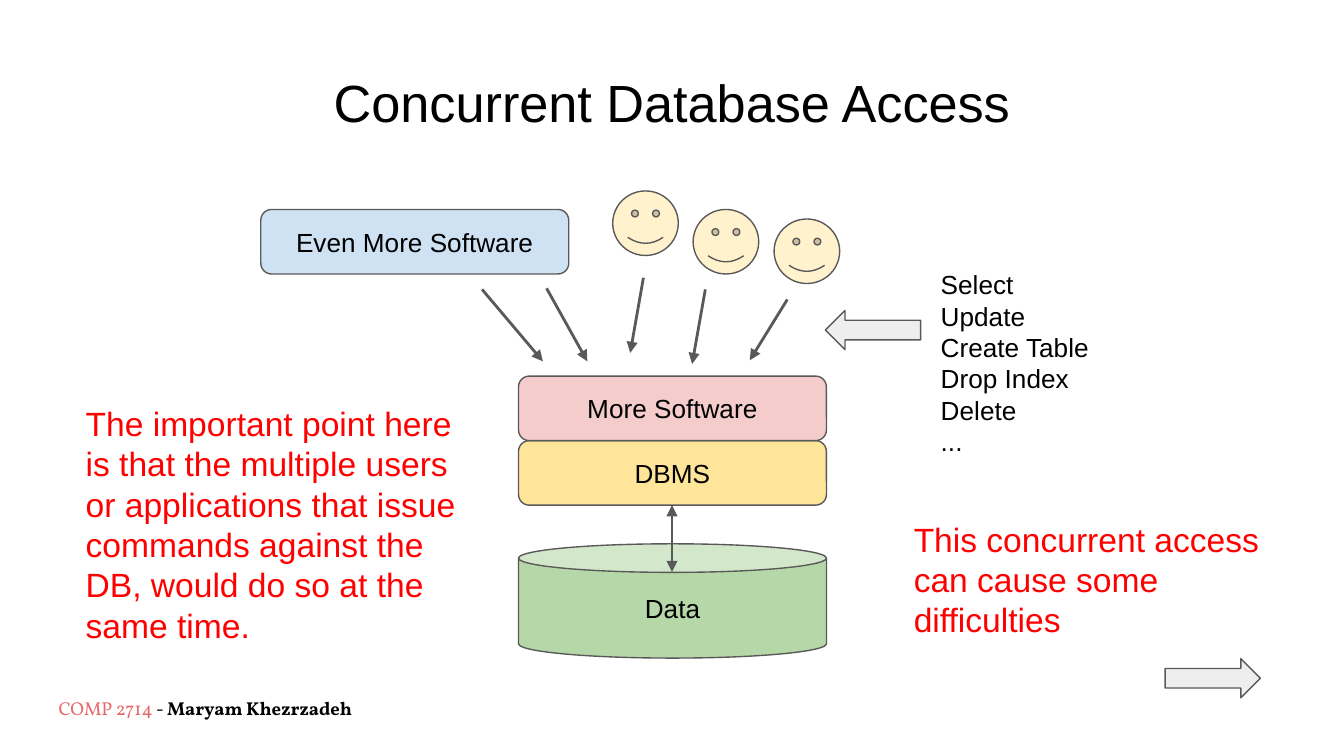
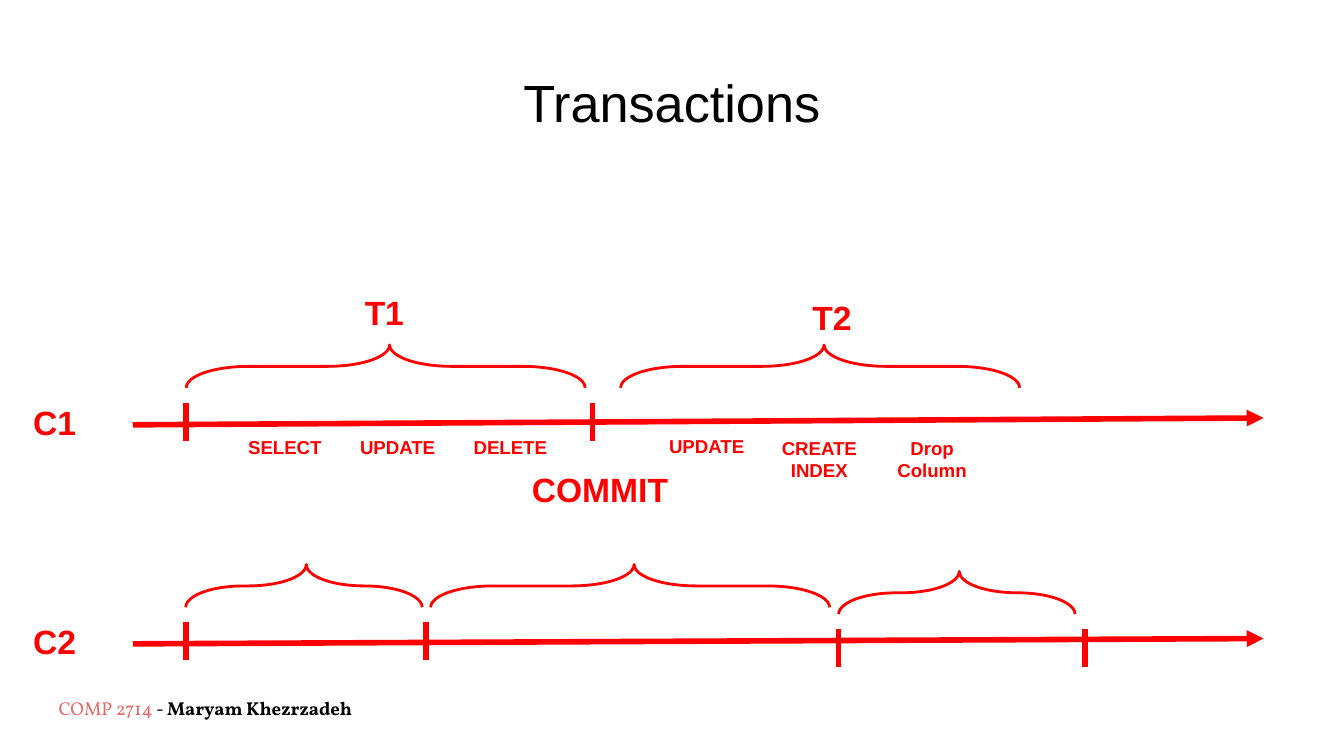
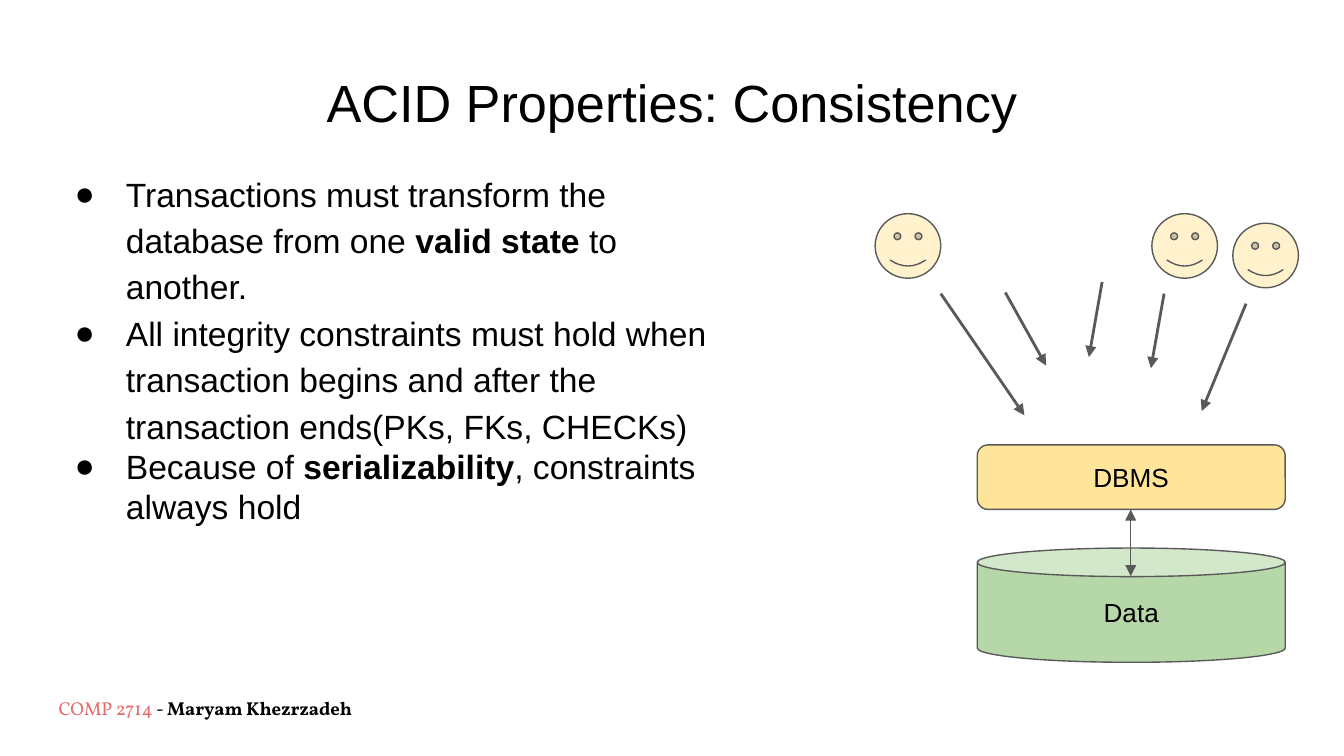
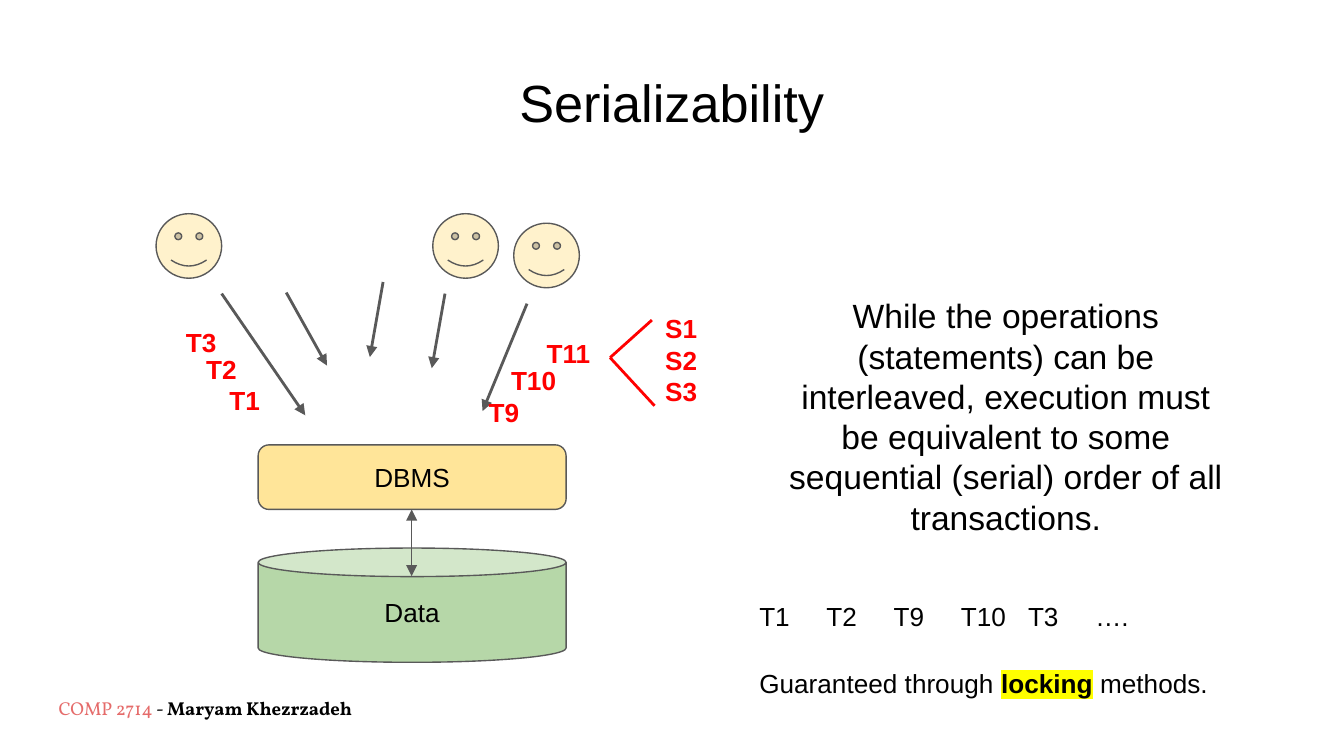
import dataclasses

import lxml.etree
import pptx
import pptx.dml.color
import pptx.enum.shapes
import pptx.enum.text
import pptx.oxml.ns
import pptx.util

Cm = pptx.util.Cm
Pt = pptx.util.Pt
qn = pptx.oxml.ns.qn
rgb = pptx.dml.color.RGBColor.from_string
SHAPE = pptx.enum.shapes.MSO_SHAPE
ANCHOR = pptx.enum.text.MSO_ANCHOR
LEFT = pptx.enum.text.PP_ALIGN.LEFT
CENTER = pptx.enum.text.PP_ALIGN.CENTER


@dataclasses.dataclass(frozen=True)
class Theme:
    font: str = "Arial"
    footer_font: str = "Vollkorn"
    ink: str = "000000"
    red: str = "FF0000"
    course: str = "E56B6A"
    outline: str = "595959"
    data: str = "B6D7A8"
    dbms: str = "FFE599"
    software: str = "F4CCCC"
    more_software: str = "CFE2F3"
    user: str = "FFF2CC"
    pointer: str = "EEEEEE"
    highlight: str = "FFFF00"
    title: int = 28
    body: int = 18
    label: int = 14
    small: int = 10
    thin: float = 0.75
    medium: float = 1.5
    thick: float = 3


theme = Theme()


def place(slide, box, lines=(), geometry=None, fill=None, align=LEFT, **style):
    lengths = [Cm(value) for value in box]
    if geometry is None:
        shape = slide.shapes.add_textbox(*lengths)
    else:
        shape = slide.shapes.add_shape(geometry, *lengths)
        shape.shadow.inherit = False
        shape.line.color.rgb = rgb(theme.outline)
        shape.line.width = Pt(theme.thin)
        if fill:
            shape.fill.solid()
            shape.fill.fore_color.rgb = rgb(fill)
        else:
            shape.fill.background()
    frame = shape.text_frame
    frame_format = {
        "word_wrap": True,
        "vertical_anchor": ANCHOR.MIDDLE if geometry else ANCHOR.TOP,
        **{f"margin_{side}": Cm(0.25) for side in ("left", "top", "right", "bottom")},
    }
    for name, value in frame_format.items():
        setattr(frame, name, value)
    base = {"name": theme.font, "size": Pt(theme.label), "rgb": rgb(theme.ink)}
    for index, line in enumerate(lines):
        paragraph = frame.add_paragraph() if index else frame.paragraphs[0]
        paragraph.alignment = align
        for words, extra in [(line, {})] if isinstance(line, str) else line:
            run = paragraph.add_run()
            run.text = words
            for name, value in {**base, **style, **extra}.items():
                setattr(run.font.color if name == "rgb" else run.font, name, value)
    return shape


def connect(slide, start, end, color=theme.outline, width=theme.medium, ends=()):
    line = slide.shapes.add_connector(
        pptx.enum.shapes.MSO_CONNECTOR.STRAIGHT, *[Cm(value) for value in (*start, *end)]
    )
    line.line.color.rgb = rgb(color)
    line.line.width = Pt(width)
    for end_name in ends:
        lxml.etree.SubElement(line.line._get_or_add_ln(), qn(f"a:{end_name}"), type="triangle")
    lxml.etree.SubElement(line._element.spPr, qn("a:effectLst"))


deck = pptx.Presentation()
deck.slide_width = Cm(25.4)
deck.slide_height = Cm(14.29)

bold = {"bold": True}
red_body = {"size": Pt(theme.body), "rgb": rgb(theme.red)}
red_label = {"rgb": rgb(theme.red), "bold": True, "align": CENTER}
red_heading = {**red_label, "size": Pt(theme.body)}
red_small = {**red_label, "size": Pt(theme.small)}

footer = [
    ("COMP 2714", {"rgb": rgb(theme.course)}),
    (" - ", {}),
    ("Maryam Khezrzadeh", bold),
]
titles = [
    "Concurrent Database Access",
    "Transactions",
    "ACID Properties: Consistency",
    "Serializability",
]
for title in titles:
    slide = deck.slides.add_slide(deck.slide_layouts[6])
    place(slide, (0.86, 12.95, 9.6, 0.86), [footer],
          name=theme.footer_font, size=Pt(theme.small))
    place(slide, (0.86, 1.07, 23.67, 1.6), [title], align=CENTER, size=Pt(theme.title))
access, transactions, consistency, serializability = deck.slides

block_size = (5.82, 1.22)
scenes = [
    (access, 9.8, 8.33, (1.78, -4.72), (0.46, -1.5), (4.37, -1.52)),
    (consistency, 18.47, 8.41, (-1.93, -4.37), (0.89, -0.56), (4.24, -0.64)),
    (serializability, 4.88, 8.41, (-1.93, -4.37), (0.89, -0.56), (4.24, -0.64)),
]
for slide, left, top, first_user, first_target, last_target in scenes:
    place(slide, (left, top + 1.95, 5.82, 2.16), ["Data"], SHAPE.CAN, theme.data, CENTER)
    place(slide, (left, top, *block_size), ["DBMS"],
          SHAPE.ROUNDED_RECTANGLE, theme.dbms, CENTER)
    connect(slide, (left + 2.9, top + 1.22), (left + 2.9, top + 2.48),
            width=theme.thin, ends=("headEnd", "tailEnd"))
    for across, down in (first_user, (3.3, -4.37), (4.83, -4.19)):
        place(slide, (left + across, top + down, 1.24, 1.22),
              geometry=SHAPE.SMILEY_FACE, fill=theme.user)
    requests = [
        ((-0.69, -2.86), first_target),
        ((5.08, -2.67), last_target),
        ((3.53, -2.86), (3.28, -1.45)),
        ((2.36, -3.08), (2.11, -1.66)),
        ((0.53, -2.88), (1.3, -1.5)),
    ]
    for source, target in requests:
        connect(slide, (left + source[0], top + source[1]),
                (left + target[0], top + target[1]), ends=("tailEnd",))

for software, corner, fill in [
    ("More Software", (9.8, 7.11), theme.software),
    ("Even More Software", (4.93, 3.96), theme.more_software),
]:
    place(access, (*corner, *block_size), [software], SHAPE.ROUNDED_RECTANGLE, fill, CENTER)
commands = ["Select", "Update", "Create Table", "Drop Index", "Delete", "..."]
place(access, (17.53, 4.83, 4.5, 3.86), commands)
for corner, rotation in [((15.6, 5.87), 0), ((22.02, 12.45), 180)]:
    pointer = place(access, (*corner, 1.8, 0.74),
                    geometry=SHAPE.LEFT_ARROW, fill=theme.pointer)
    pointer.rotation = rotation
place(access, (1.37, 7.37, 7.55, 5.28), [
    "The important point here is that the multiple users or applications "
    "that issue commands against the DB, would do so at the same time."
], **red_body)
place(access, (17.02, 9.55, 7.52, 2.82),
      ["This concurrent access can cause some difficulties"], **red_body)

for client, label_top, start, end in [
    ("C1", 7.34, 8.03, 7.9),
    ("C2", 11.48, 12.17, 12.07),
]:
    connect(transactions, (2.51, start), (23.88, end), theme.red, theme.thick, ("tailEnd",))
    place(transactions, (0.25, label_top, 1.57, 1.27), [client], **red_heading)
for tick_left, tick_top in [
    (3.51, 7.62), (11.2, 7.62),
    (3.51, 11.76), (8.05, 11.76), (15.85, 11.89), (20.5, 11.89),
]:
    connect(transactions, (tick_left, tick_top), (tick_left, tick_top + 0.71),
            theme.red, theme.thick)
brace_depth = 0.81
for brace_left, brace_top, span in [
    (3.52, 6.52, 7.54), (11.73, 6.52, 7.54),
    (3.51, 10.67, 4.47), (8.14, 10.67, 7.54), (15.85, 10.8, 4.47),
]:
    inset = (span - brace_depth) / 2
    brace = place(transactions, (brace_left + inset, brace_top - inset, brace_depth, span),
                  geometry=SHAPE.RIGHT_BRACE)
    brace.rotation = 270
    brace.adjustments[0] = 1.45
    brace.adjustments[1] = 0.51
    brace.line.color.rgb = rgb(theme.red)
    brace.line.width = Pt(theme.medium)
for name, box in [
    ("T1", (6.48, 5.26, 1.57, 1.27)),
    ("T2", (14.94, 5.36, 1.57, 1.27)),
    ("COMMIT", (9.79, 8.61, 3.1, 1.27)),
]:
    place(transactions, box, [name], **red_heading)
for first_left, top, statements in [
    (4.32, 8.03, ["SELECT", "UPDATE", "DELETE"]),
    (12.29, 8, ["UPDATE", "CREATE INDEX", "Drop Column"]),
]:
    for index, statement in enumerate(statements):
        place(transactions, (first_left + index * 2.13, top, 2.13, 1.27),
              [statement], **red_small)

properties = place(consistency, (0.86, 2.92, 12.9, 9.58), [
    [("Transactions must transform the database from one ", {}),
     ("valid state", bold), (" to another.", {})],
    "All integrity constraints must hold when transaction begins and after "
    "the transaction ends(PKs, FKs, CHECKs)",
    [("Because of ", {}), ("serializability", bold), (", constraints always hold", {})],
], size=Pt(theme.body))
spacings = [
    {"line_spacing": 1.15, "space_before": Pt(12)},
    {"line_spacing": 1.15},
    {"line_spacing": 1.0},
]
for paragraph, spacing in zip(properties.text_frame.paragraphs, spacings):
    for name, value in spacing.items():
        setattr(paragraph, name, value)
    settings = paragraph._p.get_or_add_pPr()
    settings.set("marL", str(Cm(1.27)))
    settings.set("indent", str(Cm(-0.97)))
    bullet_color = lxml.etree.SubElement(settings, qn("a:buClr"))
    lxml.etree.SubElement(bullet_color, qn("a:srgbClr"), val=theme.ink)
    lxml.etree.SubElement(settings, qn("a:buFont"), typeface=theme.font)
    lxml.etree.SubElement(settings, qn("a:buChar"), char="●")

for name, corner in [
    ("T1", (3.84, 7.01)), ("T2", (3.4, 6.43)), ("T3", (3.02, 5.92)),
    ("T9", (8.74, 7.24)), ("T11", (9.96, 6.12)), ("T10", (9.3, 6.63)),
]:
    place(serializability, (*corner, 1.57, 1.27), [name], **red_label)
for statement_end in [(12.32, 6.05), (12.37, 7.67)]:
    connect(serializability, (11.53, 6.76), statement_end, theme.red)
place(serializability, (12.09, 5.66, 1.57, 2.51), ["S1", "S2", "S3"], **red_label)
place(serializability, (14.5, 5.33, 9.02, 5.28), [
    "While the operations (statements) can be interleaved, execution must be "
    "equivalent to some sequential (serial) order of all transactions."
], align=CENTER, size=Pt(theme.body))
serial_order = ["T1", "T2", "T9", "T10", "T3", "…."]
place(serializability, (14.1, 11.1, 9.86, 1.27), ["\t".join(serial_order)])
guarantee = place(serializability, (14.1, 12.37, 9.86, 1.27), [
    [("Guaranteed through ", {}), ("locking", bold), (" methods.", {})]
])
locking = guarantee.text_frame.paragraphs[0].runs[1]._r.get_or_add_rPr()
highlight = lxml.etree.SubElement(locking, qn("a:highlight"))
lxml.etree.SubElement(highlight, qn("a:srgbClr"), val=theme.highlight)
locking.find(qn("a:latin")).addprevious(highlight)

deck.save("out.pptx")
